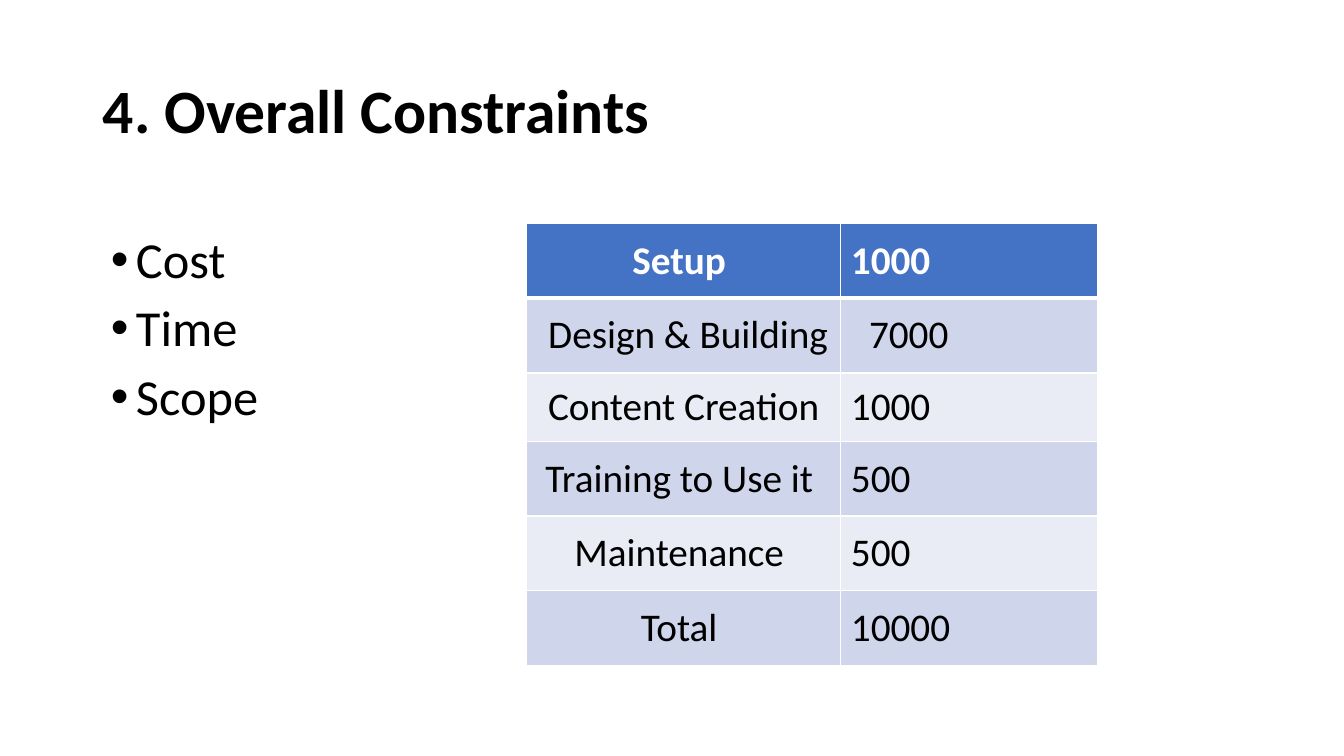
from lxml import etree
from pptx import Presentation
from pptx.dml.color import RGBColor
from pptx.enum.text import MSO_ANCHOR, PP_ALIGN
from pptx.oxml.ns import qn
from pptx.util import Inches, Pt

MIDDLE = MSO_ANCHOR.MIDDLE
LEFT, CENTER, JUSTIFY = PP_ALIGN.LEFT, PP_ALIGN.CENTER, PP_ALIGN.JUSTIFY
FONT = "Calibri"
COLORS = {"text": "000000", "white": "FFFFFF", "head": "4472C4",
          "odd": "CFD5EA", "even": "E9EBF5"}
COSTS = [
    ("Setup\u00a0", "1000"),
    ("\u00a0Design\u00a0&\u00a0Building", "7000"),
    ("\u00a0Content Creation\u00a0", "1000"),
    ("Training to Use it\u00a0", "500"),
    ("Maintenance\u00a0", "500"),
    ("Total\u00a0", "10000"),
]
WIDTHS = [3.12, 2.55]
HEIGHTS = [0.74, 0.74, 0.68, 0.74, 0.74, 0.74]
LIMITS = ["Cost", "Time", "Scope"]


def style(para, size, color="text", bold=False):
    """Set the font of every run in a paragraph."""
    for run in para.runs:
        font = run.font
        font.name, font.size, font.bold = FONT, Pt(size), bold
        font.color.rgb = RGBColor.from_string(COLORS[color])


def add_title(slide, text):
    """Place and fill the title."""
    title = slide.shapes.title
    title.left, title.top = Inches(0.92), Inches(0.4)
    title.width, title.height = Inches(11.5), Inches(1.45)
    frame = title.text_frame
    frame.text = text
    frame.vertical_anchor = MIDDLE
    para = frame.paragraphs[0]
    para.alignment, para.line_spacing = LEFT, 0.9
    style(para, 44, bold=True)


def add_edges(cell, base):
    """Draw white borders round a cell, the bottom one base points wide."""
    props = cell._tc.get_or_add_tcPr()
    for side, width in (("L", 1), ("R", 1), ("T", 1), ("B", base)):
        line = etree.SubElement(props, qn("a:ln" + side), w=str(Pt(width)))
        fill = etree.SubElement(line, qn("a:solidFill"))
        etree.SubElement(fill, qn("a:srgbClr"), val=COLORS["white"])


def fill_cell(cell, text, align, row):
    """Write and format one cell according to its row."""
    head = row == 0
    add_edges(cell, 3 if head else 1)
    shade = "head" if head else "odd" if row % 2 else "even"
    cell.fill.solid()
    cell.fill.fore_color.rgb = RGBColor.from_string(COLORS[shade])
    cell.vertical_anchor = MIDDLE
    cell.text_frame.text = text
    para = cell.text_frame.paragraphs[0]
    para.alignment = align
    style(para, 28, "white" if head else "text", head)


def add_costs(slide):
    """Add the cost table."""
    table = slide.shapes.add_table(
        len(COSTS), len(WIDTHS), Inches(5.22), Inches(2.22),
        Inches(sum(WIDTHS)), Inches(sum(HEIGHTS))).table
    for col, width in zip(table.columns, WIDTHS):
        col.width = Inches(width)
    for row, height in zip(table.rows, HEIGHTS):
        row.height = Inches(height)
    for row, (label, cost) in enumerate(COSTS):
        fill_cell(table.cell(row, 0), label, CENTER, row)
        fill_cell(table.cell(row, 1), cost, LEFT, row)
    table.cell(1, 1).margin_left = Inches(0.28)


def add_list(slide, items):
    """Add the bulleted list."""
    box = slide.shapes.add_textbox(Inches(1), Inches(2.28),
                                   Inches(7.65), Inches(4.76))
    frame = box.text_frame
    frame.word_wrap = True
    frame.text = "\n".join(items)
    for para in frame.paragraphs:
        para.alignment, para.line_spacing = JUSTIFY, 0.9
        para.space_before = Pt(10)
        props = para._p.get_or_add_pPr()
        props.set("marL", str(Inches(0.25)))
        props.set("indent", str(Inches(-0.25)))
        etree.SubElement(props, qn("a:buFont"), typeface="Arial")
        etree.SubElement(props, qn("a:buChar"), char="\u2022")
        style(para, 36)


def main():
    """Build the slide and save it."""
    deck = Presentation()
    deck.slide_width, deck.slide_height = Inches(13.33), Inches(7.5)
    slide = deck.slides.add_slide(deck.slide_layouts[5])
    add_title(slide, "4. Overall Constraints")
    add_costs(slide)
    add_list(slide, LIMITS)
    deck.save("out.pptx")


main()
